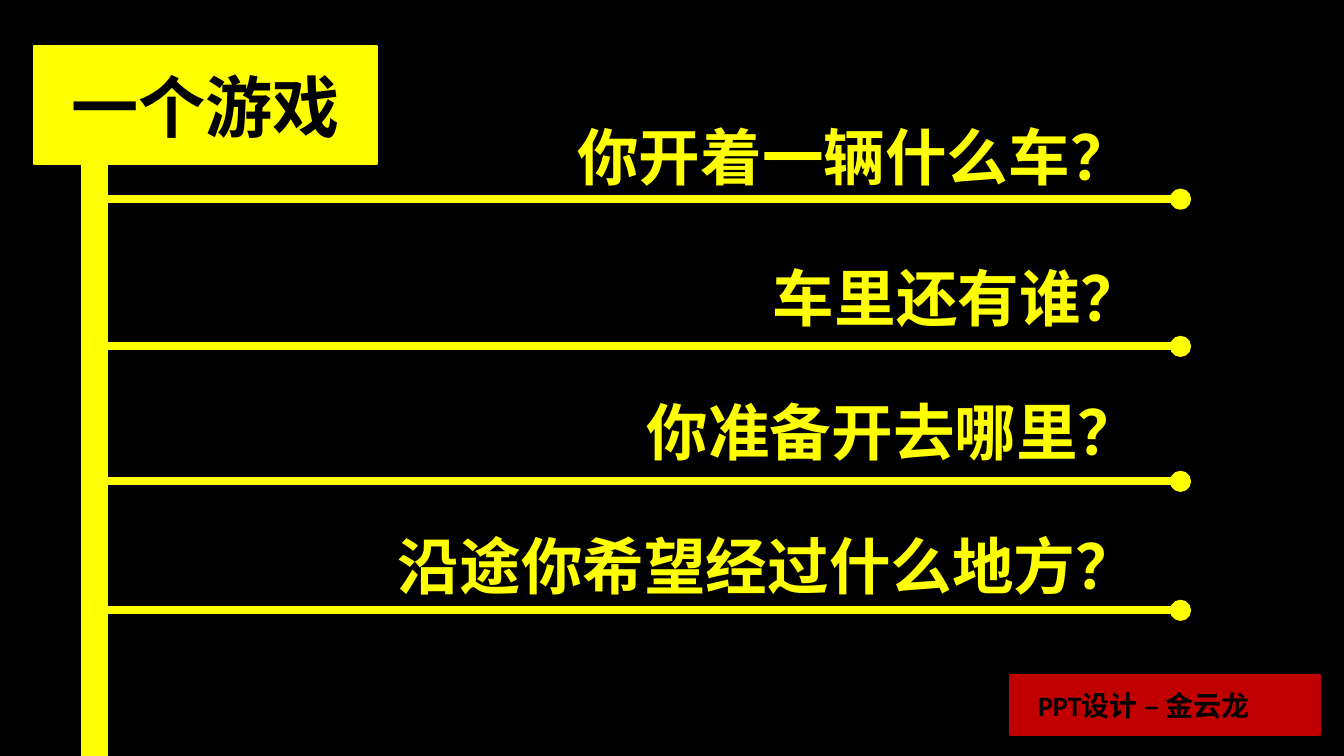
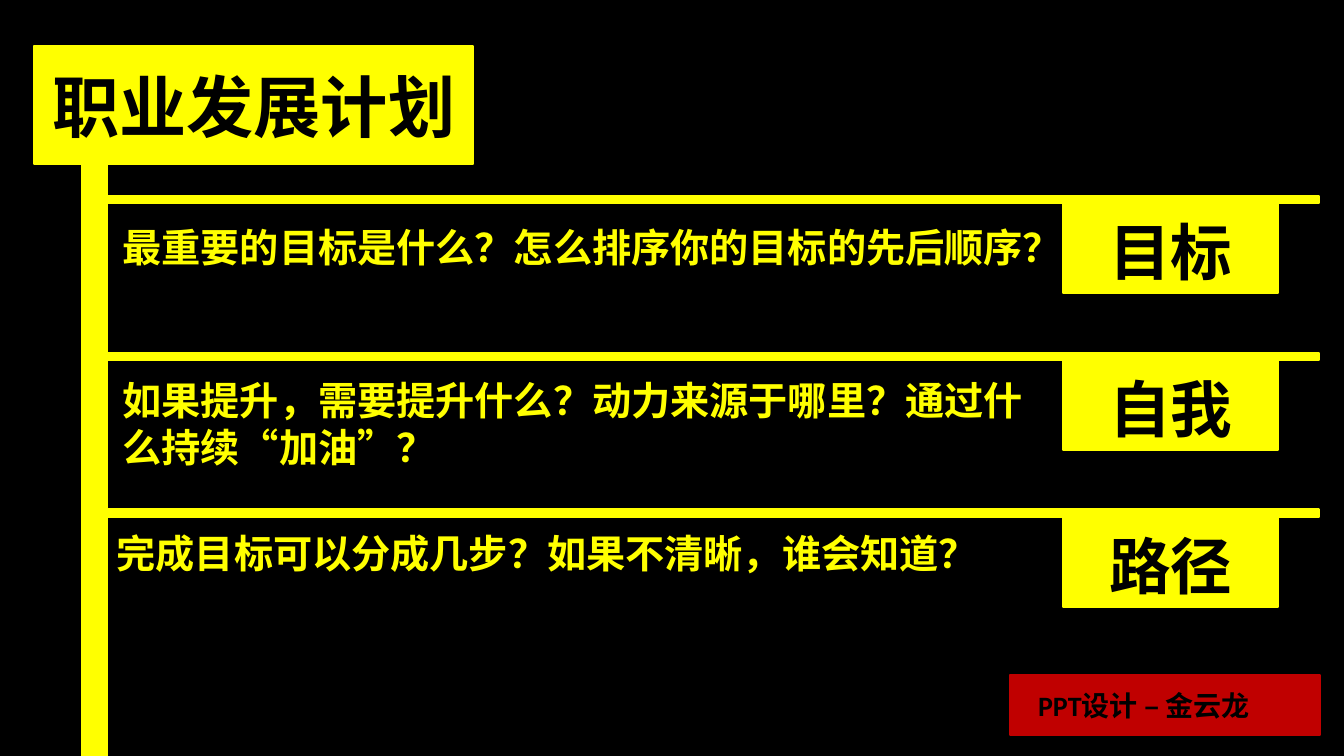
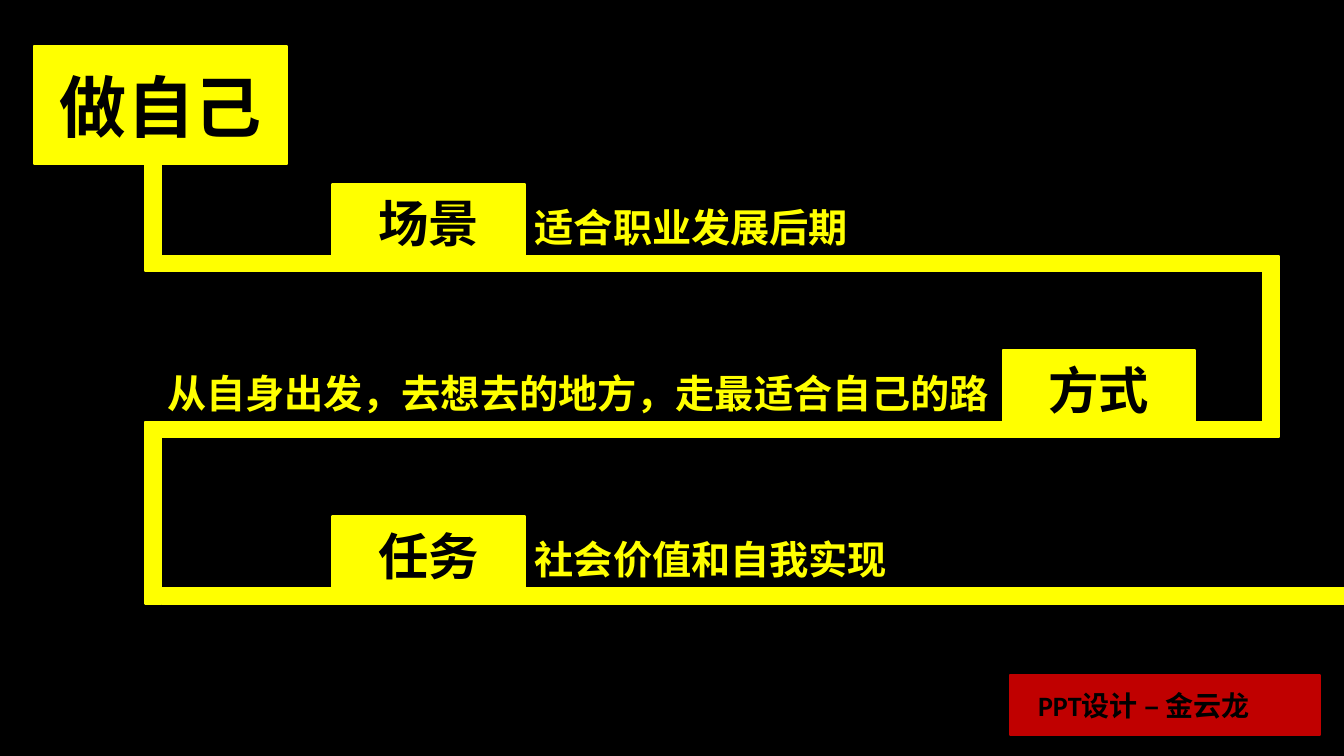
from pptx import Presentation
from pptx.dml.color import RGBColor
from pptx.enum.lang import MSO_LANGUAGE_ID as LANG
from pptx.enum.shapes import MSO_SHAPE as SHAPE
from pptx.enum.text import MSO_ANCHOR as ANCHOR, MSO_AUTO_SIZE as FIT, PP_ALIGN as ALIGN
from pptx.util import Cm, Pt

BLACK = RGBColor(0x00, 0x00, 0x00)
YELLOW = RGBColor(0xFF, 0xFF, 0x00)
RED = RGBColor(0xC0, 0x00, 0x00)
FONT = "Calibri"


def write(sp, text, size, color=BLACK, align=ALIGN.CENTER, anchor=ANCHOR.MIDDLE,
          left=0.0, top=0.0, right=0.0, bottom=0.0):
    """Put one formatted paragraph into a shape; insets are in centimetres."""
    tf = sp.text_frame
    tf.word_wrap, tf.auto_size, tf.vertical_anchor = True, FIT.NONE, anchor
    tf.margin_left, tf.margin_top = Cm(left), Cm(top)
    tf.margin_right, tf.margin_bottom = Cm(right), Cm(bottom)
    p = tf.paragraphs[0]
    p.alignment = align
    r = p.add_run()
    r.text = text
    f = r.font
    f.name, f.size, f.bold = FONT, Pt(size), True
    f.color.rgb = color
    f.language_id = LANG.SIMPLIFIED_CHINESE


class Deck:
    """Shared style and the slide being built; all lengths are in centimetres."""

    def __init__(self):
        self.prs = Presentation()
        self.prs.slide_width, self.prs.slide_height = Cm(33.87), Cm(19.05)
        fill = self.prs.slide_master.background.fill
        fill.solid()
        fill.fore_color.rgb = BLACK
        self.s = None

    @staticmethod
    def paint(sp, color):
        sp.fill.solid()
        sp.fill.fore_color.rgb = color
        sp.line.color.rgb = color
        sp.line.width = Pt(1.5)

    def new_slide(self, title, width):
        self.s = self.prs.slides.add_slide(self.prs.slide_layouts[5])
        sp = self.s.shapes.title
        sp.left, sp.top, sp.width, sp.height = Cm(0.86), Cm(1.17), Cm(width), Cm(2.97)
        self.paint(sp, YELLOW)
        write(sp, title, 48)
        self.footer()

    def block(self, x, y, w, h, color=YELLOW, kind=SHAPE.RECTANGLE):
        sp = self.s.shapes.add_shape(kind, Cm(x), Cm(y), Cm(w), Cm(h))
        sp.shadow.inherit = False
        self.paint(sp, color)
        return sp

    def footer(self):
        bar = self.block(25.45, 17.02, 7.82, 1.5, RED)
        write(bar, "PPT设计 – 金云龙", 20, align=ALIGN.LEFT, left=0.71)

    def trunk(self):
        self.block(2.06, 4.11, 0.64, 14.94)

    def tag(self, text, x, y, w, h, size):
        write(self.block(x, y, w, h), text, size, top=0.13)

    def caption(self, text, x, y, w, size=28):
        sp = self.s.shapes.add_textbox(Cm(x), Cm(y), Cm(w), Cm(size * 0.05))
        write(sp, text, size, YELLOW, ALIGN.LEFT, ANCHOR.TOP, 0.25, 0.13, 0.25, 0.13)


def game_slide(deck):
    deck.new_slide("一个游戏", 8.64)
    deck.trunk()
    questions = [  # text, left, top, rail top
        ("你开着一辆什么车？", 14.3, 2.87, 4.93),
        ("车里还有谁？", 19.23, 6.43, 8.64),
        ("你准备开去哪里？", 16.05, 9.8, 12.04),
        ("沿途你希望经过什么地方？", 9.78, 13.18, 15.29),
    ]
    for text, x, y, rail_y in questions:
        deck.block(2.69, rail_y, 27.25, 0.15)
        deck.block(29.51, rail_y - 0.15, 0.48, 0.48, kind=SHAPE.OVAL)
        deck.caption(text, x, y, 29.06 - x, 44)


def career_slide(deck):
    deck.new_slide("职业发展计划", 11.07)
    deck.trunk()
    topics = [  # tag, question, left, top
        ("目标", "最重要的目标是什么？怎么排序你的目标的先后顺序？", 2.84, 5.51),
        ("自我", "如果提升，需要提升什么？动力来源于哪里？通过什么持续“加油”？", 2.84, 9.35),
        ("路径", "完成目标可以分成几步？如果不清晰，谁会知道？", 2.69, 13.21),
    ]
    for i, (name, question, x, y) in enumerate(topics):
        rail_y = 4.94 + 3.95 * i
        deck.block(2.69, rail_y, 30.56, 0.18)
        deck.tag(name, 26.8, rail_y + 0.19, 5.41, 2.26, 44)
        deck.caption(question, x, y, 23.62)


def self_slide(deck):
    deck.new_slide("做自己", 6.38)
    top, pitch, thick = 6.45, 4.19, 0.38
    left_x, right_x, post = 3.66, 31.83, 0.41

    # Winding road: posts, then one rail per step
    deck.block(left_x, 4.11, post, top + thick - 4.11)
    for x, y in [(right_x, top), (left_x, top + pitch)]:
        deck.block(x, y, post, pitch + thick)
    steps = [  # tag, its left, text, its left, its width, rail end
        ("场景", 8.38, "适合职业发展后期", 13.23, 18.6, right_x),
        ("方式", 25.27, "从自身出发，去想去的地方，走最适合自己的路", 3.96, 21.31, right_x),
        ("任务", 8.38, "社会价值和自我实现", 13.23, 18.6, 33.87),
    ]
    for i, (name, tag_x, text, x, w, end) in enumerate(steps):
        rail_y = top + pitch * i
        deck.block(left_x + post, rail_y, end - left_x - post, thick)
        deck.tag(name, tag_x, rail_y - 1.82, 4.85, 1.83, 36)
        deck.caption(text, x, rail_y - 1.46, w)


def main():
    deck = Deck()
    for build in (game_slide, career_slide, self_slide):
        build(deck)
    deck.prs.save("out.pptx")


if __name__ == "__main__":
    main()
